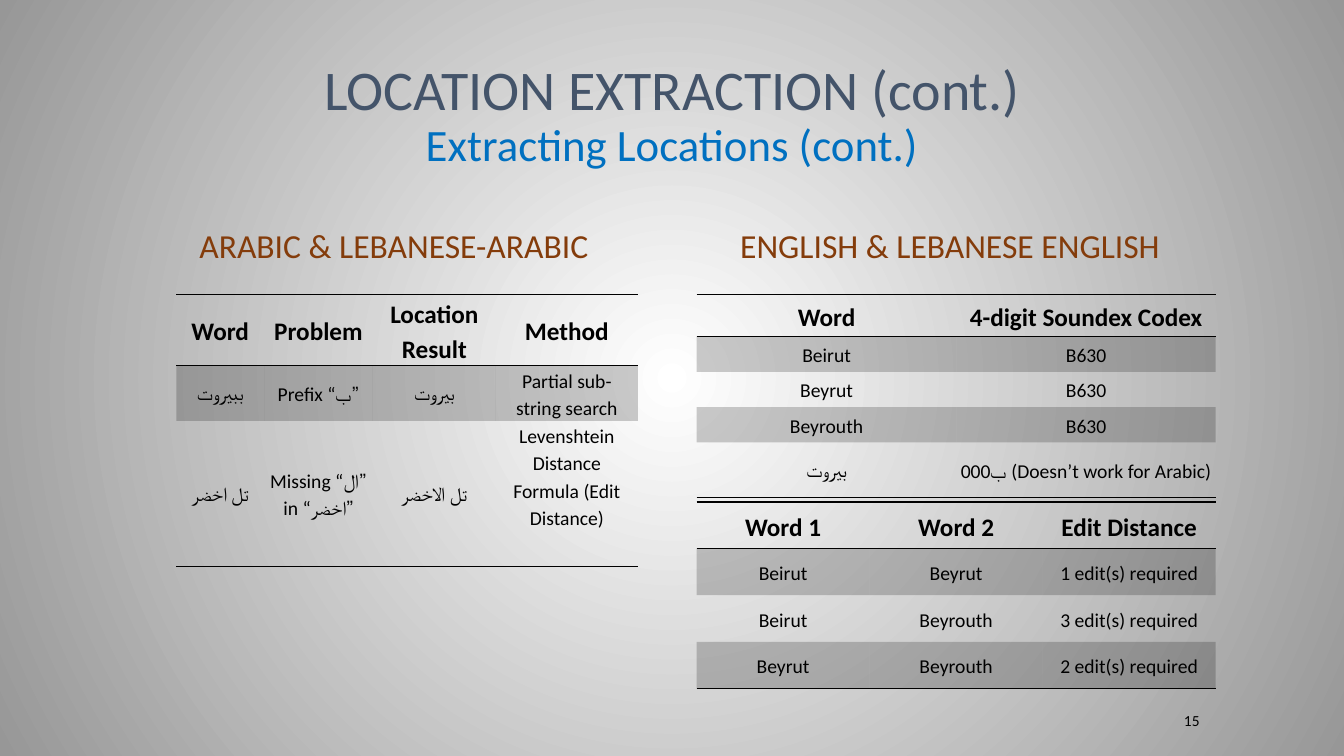
import pptx
import pptx.util
import pptx.dml.color
import pptx.enum.text
import pptx.oxml
import pptx.oxml.ns

Pt = pptx.util.Pt
ALIGN = pptx.enum.text.PP_ALIGN
MID = pptx.enum.text.MSO_ANCHOR.MIDDLE
BASE = pptx.enum.text.MSO_ANCHOR.BOTTOM
NS = pptx.oxml.ns.nsdecls("a")
PLAIN = "{2D5ABB26-0587-4C30-8999-92F81FD0307C}"


def tint(text):
    return pptx.dml.color.RGBColor.from_string(text)


class Deck:
    font = "Calibri"
    ink = "000000"
    rust = "843C0B"
    slate = "44546A"
    blue = "0070C0"

    def __init__(self):
        self.prs = pptx.Presentation()
        self.prs.slide_width = Pt(960)
        self.prs.slide_height = Pt(540)
        self.page = self.prs.slides.add_slide(self.prs.slide_layouts[4])
        self.slots = {s.placeholder_format.idx: s for s in self.page.placeholders}

    def back(self, inner, outer):
        fill = self.page.background.fill
        fill.gradient()
        for stop, color in zip(fill.gradient_stops, (inner, outer)):
            stop.color.rgb = tint(color)
        grad = self.page.background._cSld.find(".//" + pptx.oxml.ns.qn("a:gradFill"))
        line = grad.find(pptx.oxml.ns.qn("a:lin"))
        ring = pptx.oxml.parse_xml(
            f'<a:path {NS} path="circle"><a:fillToRect l="50000" t="50000" r="50000" b="50000"/></a:path>')
        grad.replace(line, ring)

    def run(self, para, text, size, color, bold=False):
        run = para.add_run()
        run.text = text
        run.font.name = self.font
        run.font.size = Pt(size)
        run.font.bold = bold
        run.font.color.rgb = tint(color)

    def fit(self, shape, box, anchor):
        shape.left, shape.top, shape.width, shape.height = map(Pt, box)
        frame = shape.text_frame
        frame.word_wrap = True
        frame.auto_size = pptx.enum.text.MSO_AUTO_SIZE.NONE
        frame.vertical_anchor = anchor
        return frame.paragraphs[0]

    def hold(self, slot, box, parts, anchor=MID):
        para = self.fit(self.slots.pop(slot), box, anchor)
        para.alignment = ALIGN.CENTER
        para.line_spacing = 0.9
        para.space_before = Pt(0)
        for spot, part in enumerate(parts):
            if spot:
                para.add_line_break()
            self.run(para, *part)

    def note(self, box, text, size):
        para = self.fit(self.page.shapes.add_textbox(*map(Pt, box)), box, MID)
        para.alignment = ALIGN.RIGHT
        self.run(para, text, size, self.ink)

    def rule(self, cell, side):
        cell._tc.get_or_add_tcPr().append(pptx.oxml.parse_xml(
            f'<a:{side} {NS} w="12700"><a:solidFill><a:srgbClr val="{self.ink}"/></a:solidFill></a:{side}>'))

    def shade(self, cell):
        cell.fill.solid()
        cell.fill.fore_color.rgb = tint(self.ink)
        color = cell._tc.tcPr.find(".//" + pptx.oxml.ns.qn("a:srgbClr"))
        solid = cell._tc.tcPr.find(pptx.oxml.ns.qn("a:solidFill"))
        color = solid.find(pptx.oxml.ns.qn("a:srgbClr"))
        color.append(pptx.oxml.parse_xml(f'<a:alpha {NS} val="20000"/>'))

    def grid(self, left, top, cols, rows, data, inset):
        table = self.page.shapes.add_table(
            len(rows), len(cols), Pt(left), Pt(top), Pt(sum(cols)), Pt(sum(rows))).table
        table.first_row = table.horz_banding = False
        table._tbl.tblPr.find(pptx.oxml.ns.qn("a:tableStyleId")).text = PLAIN
        for col, width in zip(table.columns, cols):
            col.width = Pt(width)
        for row, height in zip(table.rows, rows):
            row.height = Pt(height)
        for r, line in enumerate(data):
            for c, text in enumerate(line):
                cell = table.cell(r, c)
                cell.margin_left = cell.margin_right = Pt(inset)
                cell.margin_top = cell.margin_bottom = Pt(0)
                cell.vertical_anchor = MID
                para = cell.text_frame.paragraphs[0]
                para.alignment = ALIGN.CENTER
                para.line_spacing = 1.15
                para.space_after = Pt(6)
                self.run(para, text, 14 if r else 18, self.ink, not r)
                if r == 0:
                    self.rule(cell, "lnT")
                if r in (0, len(rows) - 1):
                    self.rule(cell, "lnB")
                if r % 2:
                    self.shade(cell)
                else:
                    cell.fill.background()
        return table

    def save(self):
        for slot in self.slots.values():
            slot._element.getparent().remove(slot._element)
        self.prs.save("out.pptx")


def main():
    deck = Deck()
    deck.back("FFFFFF", "979797")
    deck.hold(0, (96, 21.6, 768, 104.4), [
        ("LOCATION EXTRACTION (cont.)", 40, deck.slate),
        ("Extracting Locations (cont.)", 32, deck.blue)], BASE)
    deck.hold(1, (96, 144, 370.8, 66.2), [("ARABIC & LEBANESE-ARABIC", 24, deck.rust)])
    deck.hold(3, (493.2, 144, 370.8, 66.2), [("ENGLISH & LEBANESE ENGLISH", 24, deck.rust)])
    arab = deck.grid(126, 210.2, (62.6, 77.8, 87.8, 101.5), (51, 39.4, 104), [
        ("Word", "Problem", "Location Result", "Method"),
        ("ببيروت", "Prefix “ب”", "بيروت", "Partial sub-string search"),
        ("تل اخضر", "Missing “ال” in “اخضر”", "تل الاخضر",
         "Levenshtein Distance Formula (Edit Distance)")], 3)
    arab.cell(2, 3).margin_bottom = Pt(25)
    deck.grid(497.6, 210.2, (185.7, 185.1), (30.2, 25.2, 25.2, 25.2, 39.2), [
        ("Word", "4-digit Soundex Codex"),
        ("Beirut", "B630"),
        ("Beyrut", "B630"),
        ("Beyrouth", "B630"),
        ("بيروت", "000ب (Doesn’t work for Arabic)")], 3)
    deck.grid(497.6, 358.6, (123.6,) * 3, (33.3,) * 4, [
        ("Word 1", "Word 2", "Edit Distance"),
        ("Beirut", "Beyrut", "1 edit(s) required"),
        ("Beirut", "Beyrouth", "3 edit(s) required"),
        ("Beyrut", "Beyrouth", "2 edit(s) required")], 5)
    deck.note((774, 507.6, 90, 14.4), "15", 11)
    deck.save()


if __name__ == "__main__":
    main()
